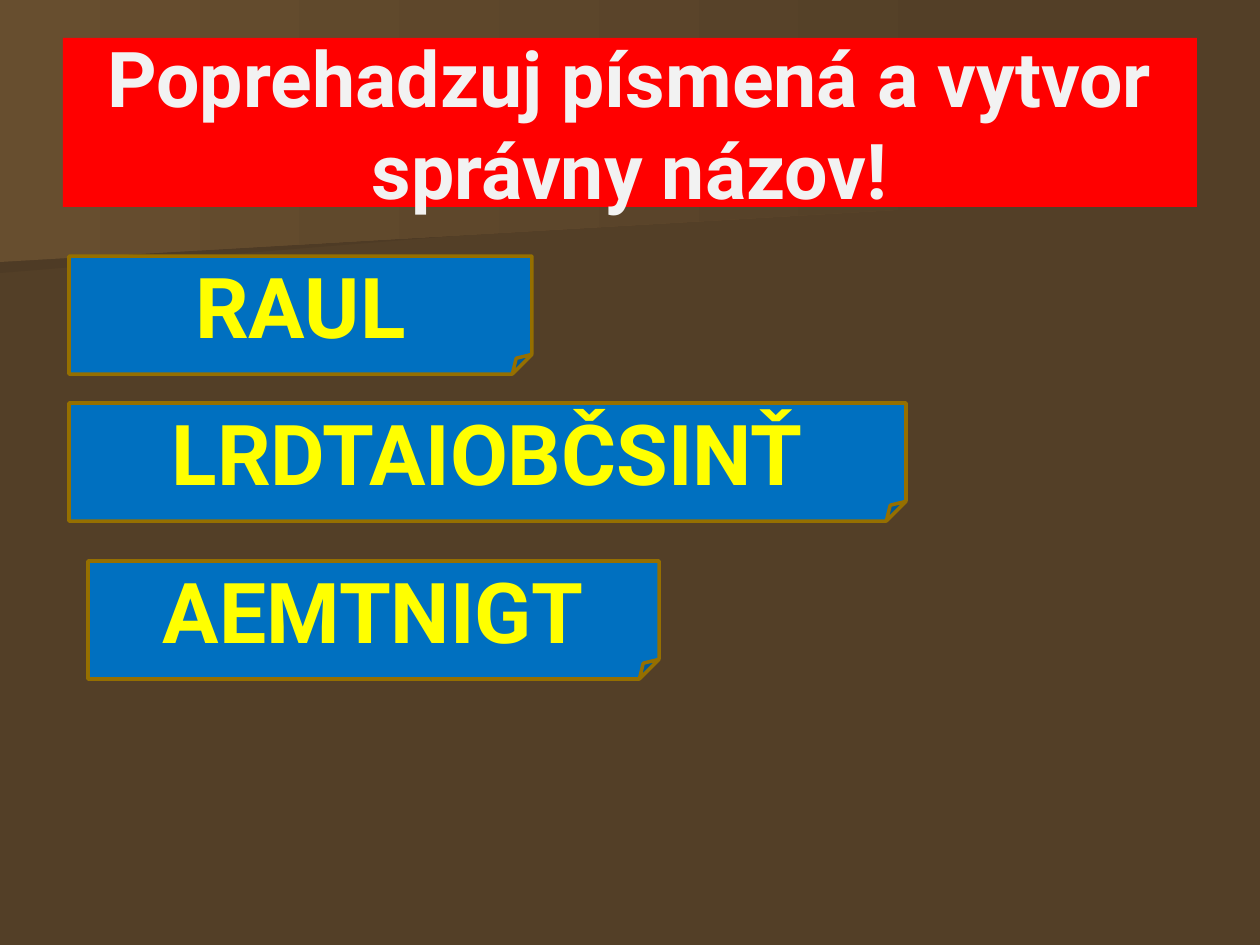
from pptx import Presentation
from pptx.dml.color import RGBColor
from pptx.enum.shapes import MSO_SHAPE as Shape
from pptx.enum.text import MSO_ANCHOR as Anchor, PP_ALIGN as Align
from pptx.util import Emu, Pt

EMU_PER_PX = 914400 / 126
BROWN = RGBColor(0x53, 0x3F, 0x27)
DARK_BROWN = RGBColor(0x4E, 0x3B, 0x25)
LIGHT_BROWN = RGBColor(0x67, 0x4E, 0x2F)
RED = RGBColor(0xFF, 0x00, 0x00)
BLUE = RGBColor(0x00, 0x70, 0xC0)
GOLD = RGBColor(0x95, 0x6F, 0x00)
YELLOW = RGBColor(0xFF, 0xFF, 0x00)
OFF_WHITE = RGBColor(0xF2, 0xF2, 0xF2)


def px(length):
    return Emu(round(length * EMU_PER_PX))


class WordPuzzle:
    """Draws the word puzzle slide in one shared style."""

    font = {"name": "Roboto", "bold": True}

    def __init__(self, deck):
        self.slide = deck.slides.add_slide(deck.slide_layouts[6])
        background = self.slide.background.fill
        background.solid()
        background.fore_color.rgb = BROWN

    def band(self, points, start_color):
        builder = self.slide.shapes.build_freeform(*points[0], scale=EMU_PER_PX)
        builder.add_line_segments(points[1:], close=True)
        band = builder.convert_to_shape()
        band.shadow.inherit = False
        band.line.fill.background()
        band.fill.gradient()
        band.fill.gradient_angle = 0
        for stop, color in zip(band.fill.gradient_stops, (start_color, BROWN)):
            stop.color.rgb = color

    def box(self, kind, bounds, fill, text, size, color):
        box = self.slide.shapes.add_shape(kind, *map(px, bounds))
        box.shadow.inherit = False
        box.fill.solid()
        box.fill.fore_color.rgb = fill
        box.line.fill.background()
        frame = box.text_frame
        frame.word_wrap = True
        frame.vertical_anchor = Anchor.MIDDLE
        para = frame.paragraphs[0]
        para.alignment = Align.CENTER
        span = para.add_run()
        span.text = text
        for name, value in {**self.font, "size": Pt(size)}.items():
            setattr(span.font, name, value)
        span.font.color.rgb = color
        return box

    def title(self, text, bounds):
        self.box(Shape.RECTANGLE, bounds, RED, text, 44, OFF_WHITE)

    def word_card(self, text, left, top, width):
        card = self.box(Shape.FOLDED_CORNER, (left, top, width, 118), BLUE, text, 48, YELLOW)
        card.line.color.rgb = GOLD
        card.line.width = Pt(2)


def main():
    deck = Presentation()
    deck.slide_width, deck.slide_height = px(1260), px(945)
    puzzle = WordPuzzle(deck)
    puzzle.band([(980, 193), (0, 273), (0, 127), (981, 127), (980, 161)], DARK_BROWN)
    puzzle.band([(998, 204), (0, 262), (0, 0), (998, 0)], LIGHT_BROWN)
    puzzle.title("Poprehadzuj písmená a vytvor správny názov!", (63, 38, 1134, 169))
    for word, left, top, width in (
        ("RAUL", 69, 256, 463),
        ("LRDTAIOBČSINŤ", 69, 403, 837),
        ("AEMTNIGT", 88, 561, 571),
    ):
        puzzle.word_card(word, left, top, width)
    deck.save("out.pptx")


if __name__ == "__main__":
    main()
